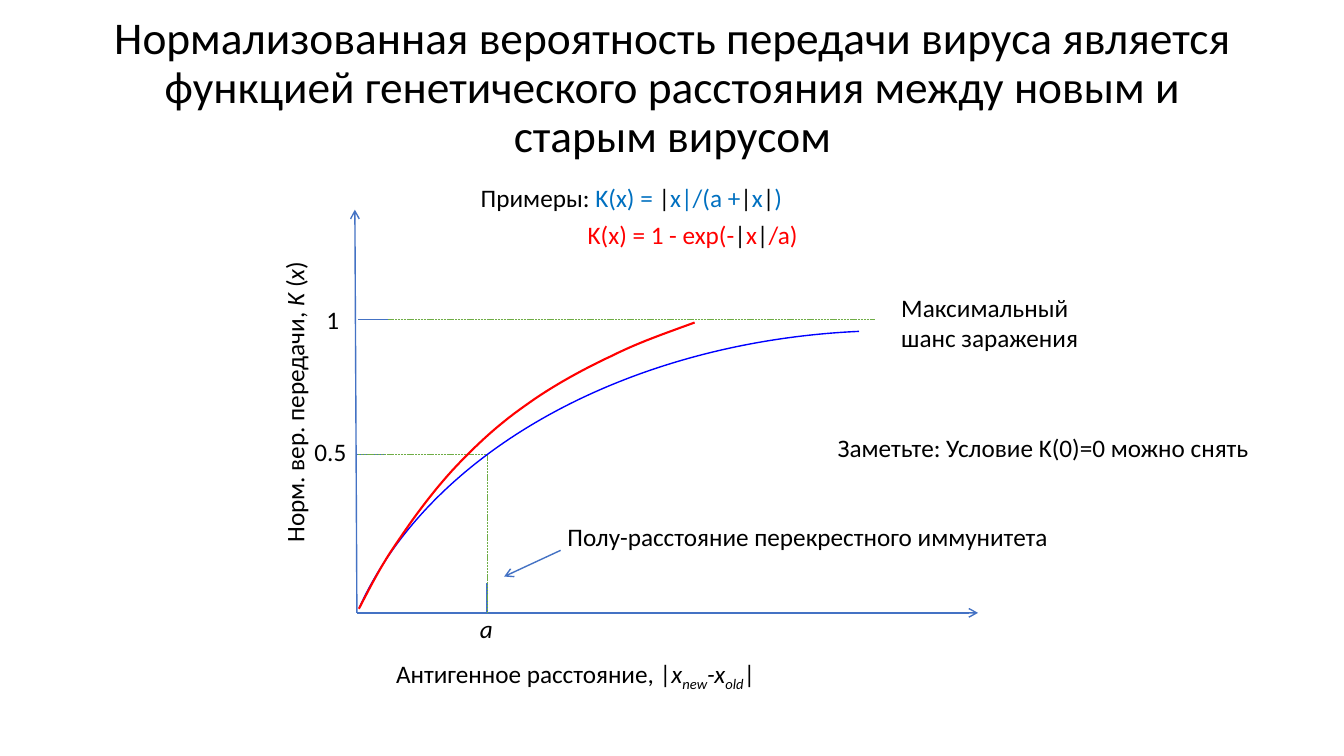
from dataclasses import dataclass

from pptx import Presentation
from pptx.dml.color import RGBColor
from pptx.enum.dml import MSO_LINE_DASH_STYLE as Dash
from pptx.enum.shapes import MSO_CONNECTOR as Connector, MSO_SHAPE as Shape
from pptx.enum.text import MSO_ANCHOR as Anchor, MSO_AUTO_SIZE as AutoSize, PP_ALIGN as Align
from pptx.oxml.ns import qn
from pptx.util import Inches, Pt
from lxml import etree

FONT = "Calibri"
BLACK, AXIS_BLUE, GUIDE_GREEN = "000000", "4472C4", "70AD47"
FORMULA_BLUE, CURVE_BLUE, RED = "0070C0", "0000FF", "FF0000"

# Diagram coordinates in inches
ORIGIN_X, ORIGIN_Y = 3.54, 6.08
GUIDE_X = 3.55
HALF_X, HALF_Y, MAX_Y = 4.83, 4.51, 3.17
TICK = 0.3
LABEL_HEIGHT = 0.4

Point = tuple[float, float]


@dataclass
class Piece:
    text: str
    color: str = BLACK
    italic: bool = False
    baseline: int = 0


@dataclass
class Label:
    left: float
    top: float
    width: float
    paragraphs: list[list[Piece]]
    height: float = LABEL_HEIGHT
    rotation: int = 0
    wrap: bool = False


@dataclass
class Line:
    start: Point
    end: Point
    color: str = AXIS_BLUE
    width: float = 1
    dashed: bool = False
    arrow: bool = False


def rgb(color: str) -> RGBColor:
    return RGBColor.from_string(color)


def add_piece(paragraph, piece: Piece, size: float) -> None:
    run = paragraph.add_run()
    run.text = piece.text
    run.font.name = FONT
    run.font.size = Pt(size)
    run.font.italic = piece.italic
    run.font.color.rgb = rgb(piece.color)
    if piece.baseline:
        run._r.get_or_add_rPr().set("baseline", str(piece.baseline * 1000))


def add_label(slide, label: Label) -> None:
    shape = slide.shapes.add_textbox(
        Inches(label.left), Inches(label.top), Inches(label.width), Inches(label.height))
    shape.rotation = label.rotation
    frame = shape.text_frame
    frame.word_wrap = label.wrap
    frame.auto_size = AutoSize.SHAPE_TO_FIT_TEXT
    for index, pieces in enumerate(label.paragraphs):
        paragraph = frame.add_paragraph() if index else frame.paragraphs[0]
        for piece in pieces:
            add_piece(paragraph, piece, 18)


def add_title(slide, text: str) -> None:
    shape = slide.shapes.add_textbox(Inches(0.92), Inches(0.4), Inches(11.5), Inches(1.45))
    frame = shape.text_frame
    frame.word_wrap = True
    frame.vertical_anchor = Anchor.MIDDLE
    frame.margin_bottom = Inches(0.54)
    paragraph = frame.paragraphs[0]
    paragraph.alignment = Align.CENTER
    paragraph.line_spacing = 0.9
    add_piece(paragraph, Piece(text), 32.4)


def add_line(slide, line: Line) -> None:
    shape = slide.shapes.add_connector(
        Connector.STRAIGHT, *(Inches(value) for value in line.start + line.end))
    shape.line.color.rgb = rgb(line.color)
    shape.line.width = Pt(line.width)
    if line.dashed:
        shape.line.dash_style = Dash.SQUARE_DOT
    if line.arrow:
        etree.SubElement(shape.line._get_or_add_ln(), qn("a:tailEnd"), type="arrow")
    etree.SubElement(shape._element.spPr, qn("a:effectLst"))


def style_curve(shape, color: str, width: float) -> None:
    shape.shadow.inherit = False
    shape.fill.background()
    shape.line.color.rgb = rgb(color)
    shape.line.width = Pt(width)


def bezier(points: list[Point], t: float) -> Point:
    weights = ((1 - t) ** 3, 3 * t * (1 - t) ** 2, 3 * t ** 2 * (1 - t), t ** 3)
    x, y = (sum(w * p[axis] for w, p in zip(weights, points)) for axis in (0, 1))
    return x, y


def add_smooth_curve(slide, points: list[Point], color: str, width: float) -> None:
    steps = 12
    vertices = [bezier(points[first:first + 4], step / steps)
                for first in range(0, len(points) - 1, 3)
                for step in range(1, steps + 1)]
    start_x, start_y = points[0]
    builder = slide.shapes.build_freeform(Inches(start_x), Inches(start_y))
    builder.add_line_segments([(Inches(x), Inches(y)) for x, y in vertices], close=False)
    style_curve(builder.convert_to_shape(), color, width)


TITLE = ("Нормализованная вероятность передачи вируса является функцией "
         "генетического расстояния между новым и старым вирусом")

LINES = [
    # Axes
    Line((ORIGIN_X, ORIGIN_Y), (3.52, 2.08), arrow=True),
    Line((ORIGIN_X, ORIGIN_Y), (9.7, ORIGIN_Y), arrow=True),
    # Ticks and guides
    Line((HALF_X, ORIGIN_Y - TICK), (HALF_X, ORIGIN_Y)),
    Line((GUIDE_X, MAX_Y), (8.68, MAX_Y), GUIDE_GREEN, 0.5, dashed=True),
    Line((3.53 + TICK, HALF_Y), (3.53, HALF_Y)),
    Line((GUIDE_X + TICK, MAX_Y), (GUIDE_X, MAX_Y)),
    Line((GUIDE_X, HALF_Y), (HALF_X, HALF_Y), GUIDE_GREEN, 0.5, dashed=True),
    Line((HALF_X, ORIGIN_Y), (HALF_X, HALF_Y), GUIDE_GREEN, 0.5, dashed=True),
    # Pointer to the half-distance
    Line((5.56, 5.46), (5, 5.72), arrow=True),
]

LABELS = [
    # Axis names
    Label(1.41, 3.77, 3.02, [[
        Piece("Норм. вер. передачи, "), Piece("K ", italic=True), Piece("("),
        Piece("x", italic=True), Piece(")")]], rotation=270),
    Label(3.83, 6.48, 3.86, [[
        Piece("Антигенное расстояние, |"), Piece("x", italic=True),
        Piece("new", italic=True, baseline=-25), Piece("-x", italic=True),
        Piece("old", italic=True, baseline=-25), Piece("|")]]),
    # Axis values
    Label(3.02, 4.28, 0.53, [[Piece("0.5")]]),
    Label(3.14, 2.97, 0.33, [[Piece("1")]]),
    Label(4.66, 6.04, 0.35, [[Piece("a", italic=True)]], wrap=True),
    # Remarks
    Label(5.53, 5.12, 5.02, [[Piece("Полу-расстояние перекрестного иммунитета")]]),
    Label(8.84, 2.85, 1.98, [[Piece("Максимальный")], [Piece("шанс заражения")]], height=0.71),
    Label(8.21, 4.24, 4.33, [[Piece("Заметьте: Условие K(0)=0 можно снять")]]),
    # Example formulas
    Label(4.67, 1.76, 3.23, [[
        Piece("Примеры: "), Piece("K(x) = ", FORMULA_BLUE), Piece("|"),
        Piece("x|/(a +", FORMULA_BLUE), Piece("|"), Piece("x", FORMULA_BLUE),
        Piece("|"), Piece(")", FORMULA_BLUE)]]),
    Label(5.73, 2.13, 2.31, [[
        Piece("K(x) = 1 - exp(-", RED), Piece("|"), Piece("x", RED),
        Piece("|"), Piece("/a)", RED)]]),
]

EXPONENTIAL_CURVE = [
    (3.56, 6.04), (3.68, 5.81), (3.79, 5.59), (3.96, 5.35),
    (4.12, 5.11), (4.33, 4.83), (4.54, 4.61),
    (4.76, 4.38), (4.97, 4.19), (5.23, 4.01),
    (5.48, 3.83), (5.79, 3.66), (6.07, 3.53),
    (6.35, 3.39), (6.62, 3.3), (6.89, 3.2),
]


def main() -> None:
    presentation = Presentation()
    presentation.slide_width, presentation.slide_height = Inches(13.33), Inches(7.5)
    slide = presentation.slides.add_slide(presentation.slide_layouts[6])

    add_title(slide, TITLE)
    for line in LINES:
        add_line(slide, line)

    # Hyperbolic curve as an elliptical arc
    arc = slide.shapes.add_shape(
        Shape.ARC, Inches(3.3), Inches(3.28), Inches(11.15), Inches(7.9))
    arc.adjustments[0], arc.adjustments[1] = 115.68, 158.91
    style_curve(arc, CURVE_BLUE, 1)

    add_smooth_curve(slide, EXPONENTIAL_CURVE, RED, 1.5)
    for label in LABELS:
        add_label(slide, label)

    presentation.save("out.pptx")


if __name__ == "__main__":
    main()
